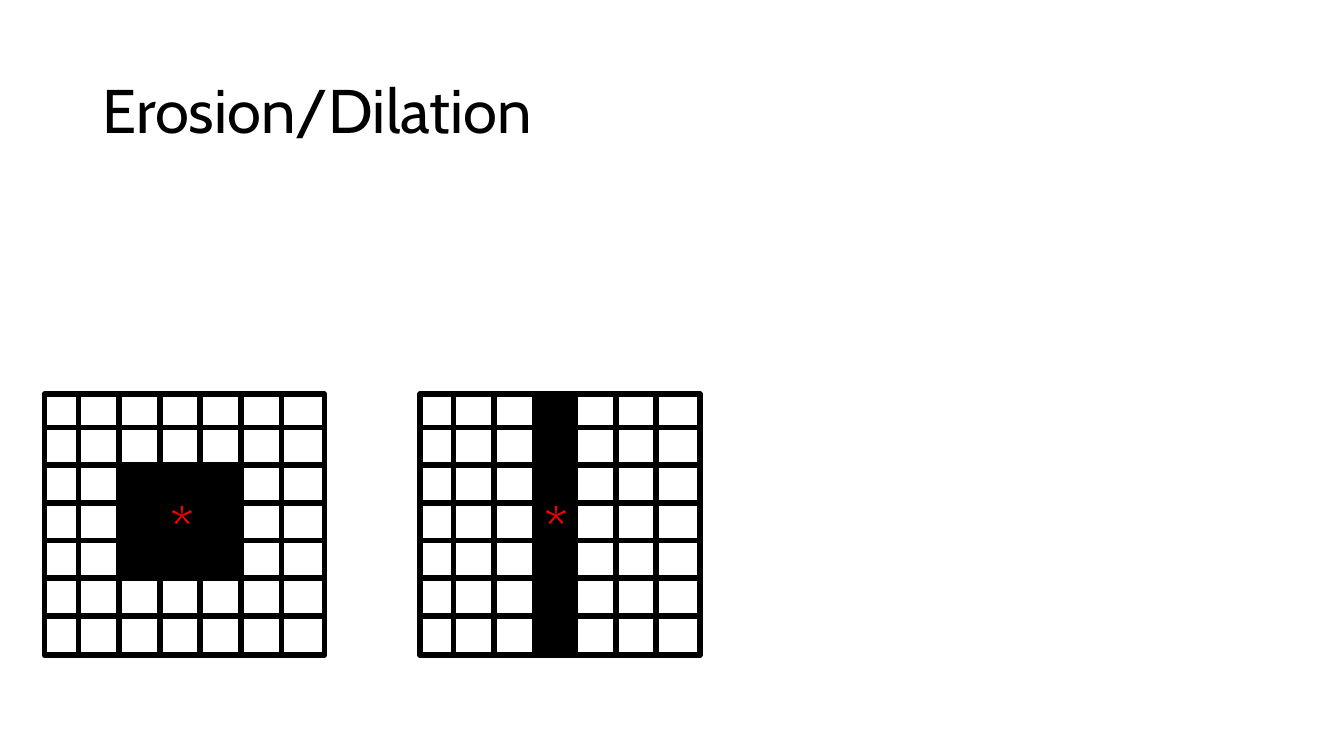
"""Build the Erosion/Dilation slide with two structuring-element grids."""
from dataclasses import dataclass

from lxml.etree import SubElement
from pptx import Presentation
from pptx.dml.color import RGBColor
from pptx.enum.shapes import MSO_CONNECTOR, MSO_SHAPE
from pptx.enum.text import MSO_ANCHOR, MSO_AUTO_SIZE, PP_ALIGN
from pptx.oxml.ns import qn
from pptx.util import Pt

TITLE = "Erosion/Dilation"
MARK = "*"
GRIDS = [
    {"left": 31.7, "first": 24.5, "cols": (1, 4), "rows": (1, 4), "mark": 114.5},
    {"left": 300, "first": 24, "cols": (2, 3), "rows": None, "mark": 381.6},
]
TOP, WIDE, HIGH = 281.5, 200, 186.5
COUNT = 6
COL, ROW = 28.95, 26.9
DOWN = 23.8


@dataclass(frozen=True)
class Theme:
    """Colours, font and sizes."""
    font: str = "Cabin"
    ink: RGBColor = RGBColor(0, 0, 0)
    paper: RGBColor = RGBColor(255, 255, 255)
    red: RGBColor = RGBColor(255, 0, 0)
    title: int = 44
    mark: int = 40
    thick: float = 4
    thin: float = 1.5


THEME = Theme()


def write(frame, text, size, color):
    """Add one run to the first paragraph and return the paragraph."""
    para = frame.paragraphs[0]
    run = para.add_run()
    run.text = text
    run.font.name, run.font.size = THEME.font, Pt(size)
    run.font.color.rgb = color
    return para


def box(shapes, x, y, w, h, fill, width):
    """Draw an outlined rectangle."""
    rect = shapes.add_shape(MSO_SHAPE.RECTANGLE, Pt(x), Pt(y), Pt(w), Pt(h))
    rect.shadow.inherit = False
    rect.fill.solid()
    rect.fill.fore_color.rgb = fill
    rect.line.color.rgb = THEME.ink
    rect.line.width = Pt(width)
    return rect


def rule(shapes, x1, y1, x2, y2):
    """Draw one grid line."""
    line = shapes.add_connector(MSO_CONNECTOR.STRAIGHT, Pt(x1), Pt(y1), Pt(x2), Pt(y2))
    line.line.color.rgb = THEME.ink
    line.line.width = Pt(THEME.thick)
    SubElement(line._element.spPr, qn("a:effectLst"))


def grid(shapes, left, first, cols, rows, mark):
    """Draw a grid with its filled block and centre mark."""
    xs = [left + first + COL * i for i in range(COUNT)]
    ys = [TOP + DOWN + ROW * i for i in range(COUNT)]
    right, base = left + WIDE, TOP + HIGH

    frame = box(shapes, left, TOP, WIDE, HIGH, THEME.paper, THEME.thick)
    color = frame._element.spPr.find(qn("a:solidFill"))[0]
    SubElement(color, qn("a:alpha"), val="58000")

    group = shapes.add_group_shape()
    for x in xs:
        rule(group.shapes, x, TOP, x, base)
    group = shapes.add_group_shape()
    for y in ys:
        rule(group.shapes, left, y, right, y)

    x1, x2 = (xs[i] for i in cols)
    y1, y2 = (ys[i] for i in rows) if rows else (TOP, base)
    box(shapes, x1, y1, x2 - x1, y2 - y1, THEME.ink, THEME.thin)

    star = shapes.add_textbox(Pt(mark), Pt(348.5), Pt(33), Pt(55.5)).text_frame
    star.word_wrap = False
    star.auto_size = MSO_AUTO_SIZE.SHAPE_TO_FIT_TEXT
    write(star, MARK, THEME.mark, THEME.red)


def main():
    """Make and save the slide."""
    deck = Presentation()
    deck.slide_width, deck.slide_height = Pt(960), Pt(540)
    slide = deck.slides.add_slide(deck.slide_layouts[5])
    slide.background.fill.solid()
    slide.background.fill.fore_color.rgb = THEME.paper

    head = slide.shapes.title
    head.left, head.top, head.width, head.height = Pt(66), Pt(28.75), Pt(828), Pt(104.4)
    head.text_frame.vertical_anchor = MSO_ANCHOR.MIDDLE
    head.text_frame.auto_size = MSO_AUTO_SIZE.NONE
    para = write(head.text_frame, TITLE, THEME.title, THEME.ink)
    para.alignment, para.line_spacing = PP_ALIGN.LEFT, 0.9

    for item in GRIDS:
        grid(slide.shapes, **item)
    deck.save("out.pptx")


if __name__ == "__main__":
    main()
